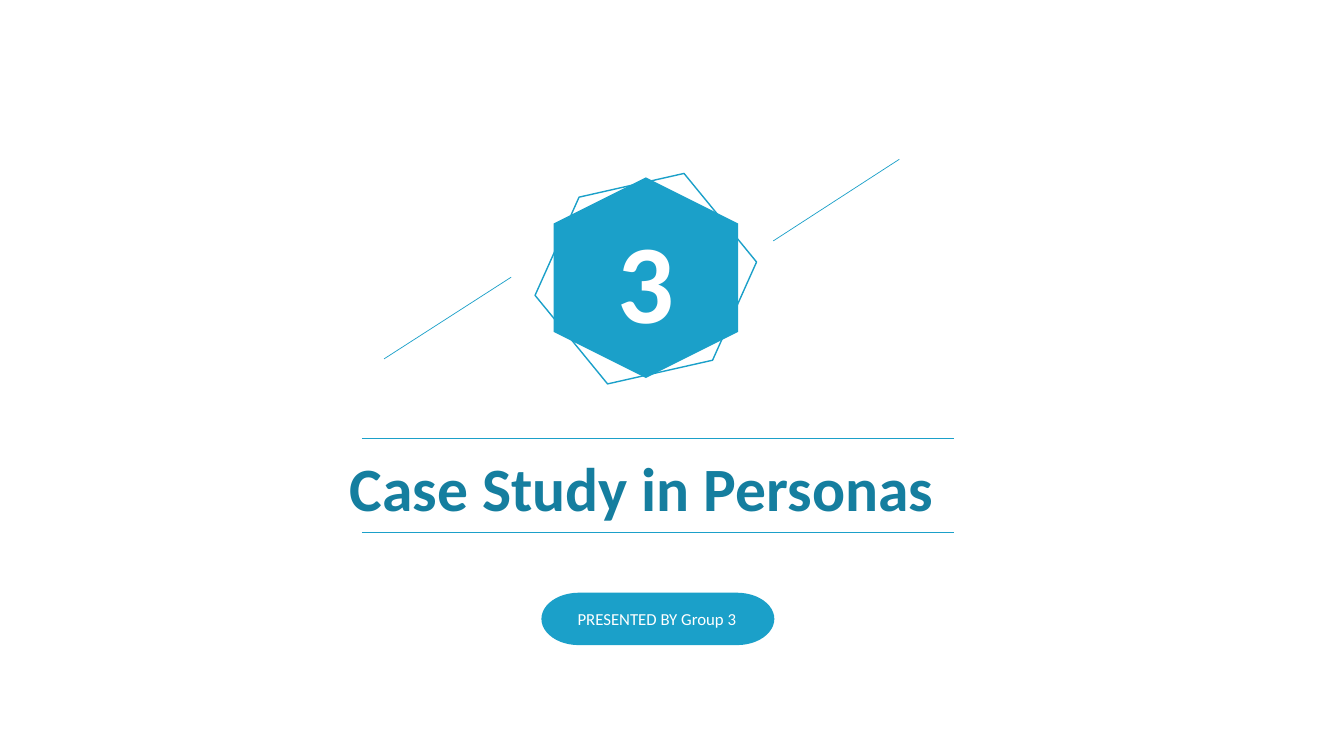
from pptx import Presentation
from pptx.dml.color import RGBColor
from pptx.enum.shapes import MSO_CONNECTOR as LINK, MSO_SHAPE as SHAPE
from pptx.enum.text import MSO_AUTO_SIZE as FIT, PP_ALIGN as ALIGN
from pptx.util import Inches, Pt
from lxml import etree

BLUE = RGBColor(0x1B, 0xA0, 0xC9)
DEEP = RGBColor(0x15, 0x7E, 0x9F)
WHITE = RGBColor(0xFF, 0xFF, 0xFF)
DRAW = "{http://schemas.openxmlformats.org/drawingml/2006/main}"

deck = Presentation()
deck.slide_width, deck.slide_height = Inches(13.33), Inches(7.5)
slide = deck.slides.add_slide(deck.slide_layouts[6])
shapes = slide.shapes

# Title rules and the two slanted lines
for x1, y1, x2, y2 in [
    (3.59, 4.35, 9.46, 4.35),
    (3.59, 5.28, 9.46, 5.28),
    (8.92, 1.58, 7.67, 2.39),
    (5.07, 2.75, 3.81, 3.56),
]:
    line = shapes.add_connector(LINK.STRAIGHT, Inches(x1), Inches(y1), Inches(x2), Inches(y2))
    line.line.color.rgb = BLUE
    line.line.width = Pt(0.5)
    etree.SubElement(line._element.spPr, DRAW + "effectLst")

# Badge hexagons and the presenter pill
for kind, left, top, width, height, turn, solid in [
    (SHAPE.FLOWCHART_TERMINATOR, 5.37, 5.88, 2.31, 0.52, 0, True),
    (SHAPE.HEXAGON, 5.41, 1.84, 1.99, 1.83, 90, True),
    (SHAPE.HEXAGON, 5.36, 1.81, 2.09, 1.91, 50.7, False),
]:
    shape = shapes.add_shape(kind, Inches(left), Inches(top), Inches(width), Inches(height))
    shape.shadow.inherit = False
    shape.rotation = turn
    if solid:
        shape.fill.solid()
        shape.fill.fore_color.rgb = BLUE
        shape.line.fill.background()
    else:
        shape.fill.background()
        shape.line.color.rgb = BLUE
        shape.line.width = Pt(1)

# Title, presenter and section number
for words, left, top, width, height, size, color, bold, align, wrap in [
    ("Case Study in Personas", 3.37, 4.41, 6.05, 0.84, 44, DEEP, True, ALIGN.LEFT, False),
    ("PRESENTED BY Group 3", 5.63, 5.99, 1.8, 0.3, 12, WHITE, False, ALIGN.LEFT, False),
    ("3", 5.31, 2.05, 2.19, 1.45, 80, WHITE, True, ALIGN.CENTER, True),
]:
    box = shapes.add_textbox(Inches(left), Inches(top), Inches(width), Inches(height))
    frame = box.text_frame
    frame.text = words
    frame.word_wrap = wrap
    frame.auto_size = FIT.SHAPE_TO_FIT_TEXT
    para = frame.paragraphs[0]
    para.alignment = align
    font = para.runs[0].font
    font.name, font.size, font.bold = "Calibri", Pt(size), bold
    font.color.rgb = color

deck.save("out.pptx")
